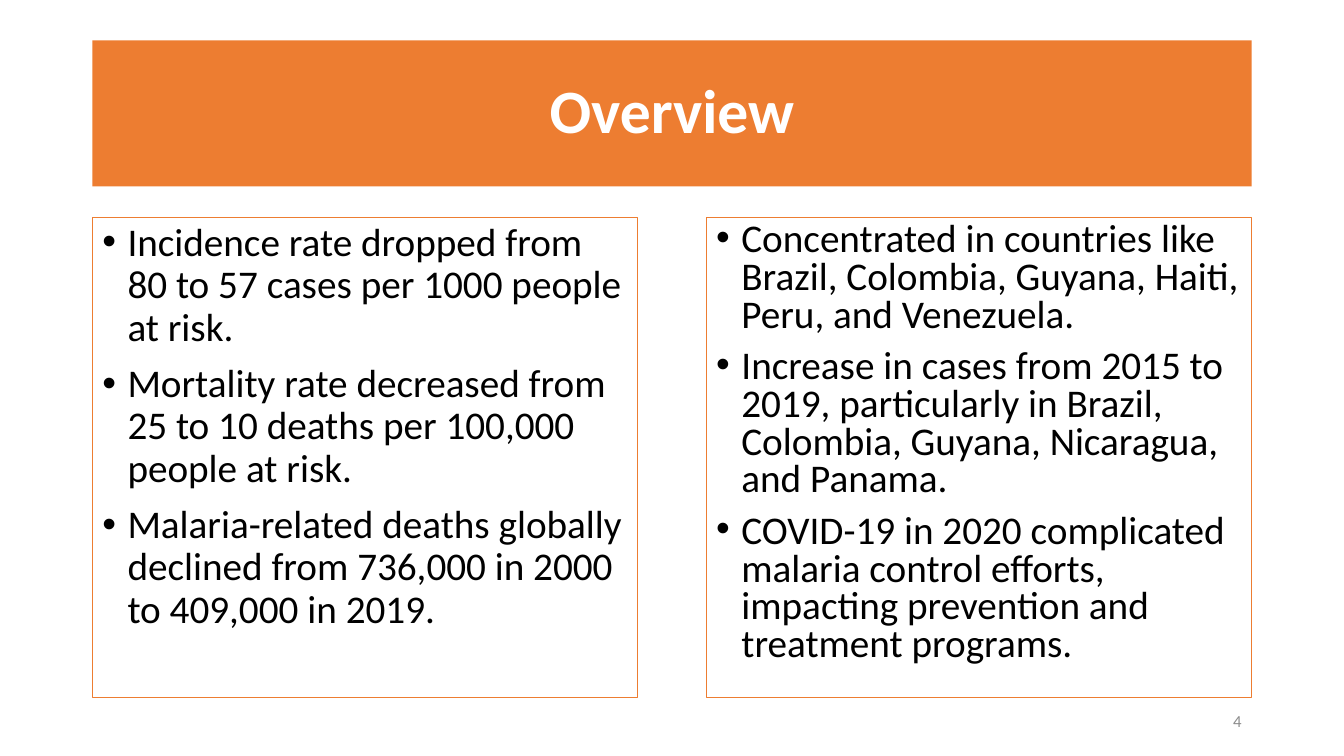
from lxml.etree import SubElement
from pptx import Presentation
from pptx.dml.color import RGBColor
from pptx.enum.shapes import MSO_SHAPE
from pptx.enum.text import MSO_ANCHOR, MSO_AUTO_SIZE, PP_ALIGN
from pptx.oxml.ns import qn
from pptx.util import Pt

COLORS = {"orange": "ED7D31", "white": "FFFFFF", "black": "000000", "gray": "8C8C8C"}
MARGIN = 66
CONTENT_WIDTH = 828
PANEL_WIDTH = 389.5
PANEL_TOP, PANEL_HEIGHT = 155.5, 342.7

GLOBAL_TRENDS = [
    "Incidence rate dropped from 80 to 57 cases per 1000 people at risk.",
    "Mortality rate decreased from 25 to 10 deaths per 100,000 people at risk.",
    "Malaria-related deaths globally declined from 736,000 in 2000 to 409,000 in 2019.",
]
REGIONAL_TRENDS = [
    "Concentrated in countries like Brazil, Colombia, Guyana, Haiti, Peru, and Venezuela.",
    "Increase in cases from 2015 to 2019, particularly in Brazil, Colombia, Guyana, "
    "Nicaragua, and Panama.",
    "COVID-19 in 2020 complicated malaria control efforts, impacting prevention and "
    "treatment programs.",
]


class SlideBuilder:
    font_name = "Calibri"

    def __init__(self, slide):
        self.slide = slide

    def color(self, name):
        return RGBColor.from_string(COLORS[name])

    def fill(self, shape, name):
        shape.fill.solid()
        shape.fill.fore_color.rgb = self.color(name)

    def style(self, paragraph, size, color, align, bold=False):
        paragraph.alignment = align
        paragraph.font.name = self.font_name
        paragraph.font.size = Pt(size)
        paragraph.font.bold = bold
        paragraph.font.color.rgb = self.color(color)

    def title(self, text, left, top, width, height):
        banner = self.slide.shapes.title
        banner.left, banner.top = Pt(left), Pt(top)
        banner.width, banner.height = Pt(width), Pt(height)
        self.fill(banner, "orange")
        frame = banner.text_frame
        frame.text = text
        frame.auto_size = MSO_AUTO_SIZE.NONE
        frame.vertical_anchor = MSO_ANCHOR.MIDDLE
        heading = frame.paragraphs[0]
        heading.line_spacing = 0.9
        self.style(heading, 44, "white", PP_ALIGN.CENTER, bold=True)

    def bullet_panel(self, points, left, top, width, height, line_spacing):
        panel = self.slide.shapes.add_shape(
            MSO_SHAPE.RECTANGLE, Pt(left), Pt(top), Pt(width), Pt(height))
        panel.shadow.inherit = False
        self.fill(panel, "white")
        panel.line.color.rgb = self.color("orange")
        panel.line.width = Pt(1)
        frame = panel.text_frame
        frame.word_wrap = True
        frame.vertical_anchor = MSO_ANCHOR.TOP
        frame.text = "\n".join(points)
        for point in frame.paragraphs:
            self.style(point, 28, "black", PP_ALIGN.LEFT)
            point.line_spacing = line_spacing
            point.space_before = Pt(10)
            self.bullet(point)

    def bullet(self, paragraph):
        properties = paragraph._p.get_or_add_pPr()
        properties.set("marL", str(Pt(18)))
        properties.set("indent", str(Pt(-18)))
        # Bullet elements go before the default run properties
        run_defaults = properties.find(qn("a:defRPr"))
        bullet_font = SubElement(properties, qn("a:buFont"), typeface="Arial")
        bullet_char = SubElement(properties, qn("a:buChar"), char="•")
        run_defaults.addprevious(bullet_font)
        run_defaults.addprevious(bullet_char)

    def page_number(self, text, left, top, width, height):
        box = self.slide.shapes.add_textbox(Pt(left), Pt(top), Pt(width), Pt(height))
        frame = box.text_frame
        frame.word_wrap = True
        frame.vertical_anchor = MSO_ANCHOR.MIDDLE
        frame.text = text
        self.style(frame.paragraphs[0], 12, "gray", PP_ALIGN.RIGHT)


def main():
    deck = Presentation()
    deck.slide_width, deck.slide_height = Pt(960), Pt(540)
    overview = SlideBuilder(deck.slides.add_slide(deck.slide_layouts[5]))

    # Title banner
    overview.title("Overview", MARGIN, 28.8, CONTENT_WIDTH, 104.4)

    # Two panels, flush with the banner's edges
    right_edge = MARGIN + CONTENT_WIDTH
    for points, left, line_spacing in (
        (GLOBAL_TRENDS, MARGIN, 0.9),
        (REGIONAL_TRENDS, right_edge - PANEL_WIDTH, 0.8),
    ):
        overview.bullet_panel(
            points, left, PANEL_TOP, PANEL_WIDTH, PANEL_HEIGHT, line_spacing)

    # Page number
    overview.page_number("4", right_edge - 216, 500.5, 216, 28.8)

    deck.save("out.pptx")


if __name__ == "__main__":
    main()
